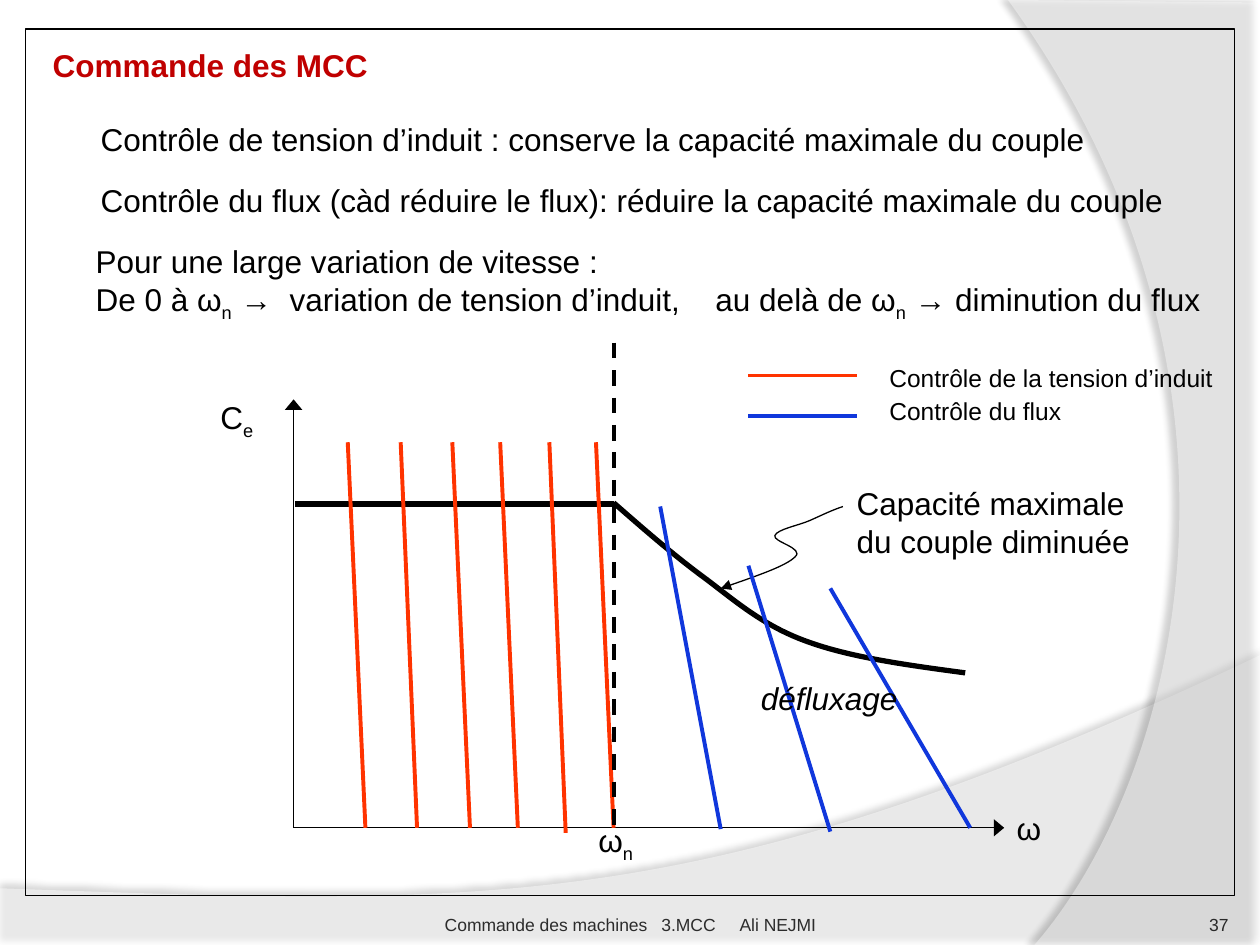
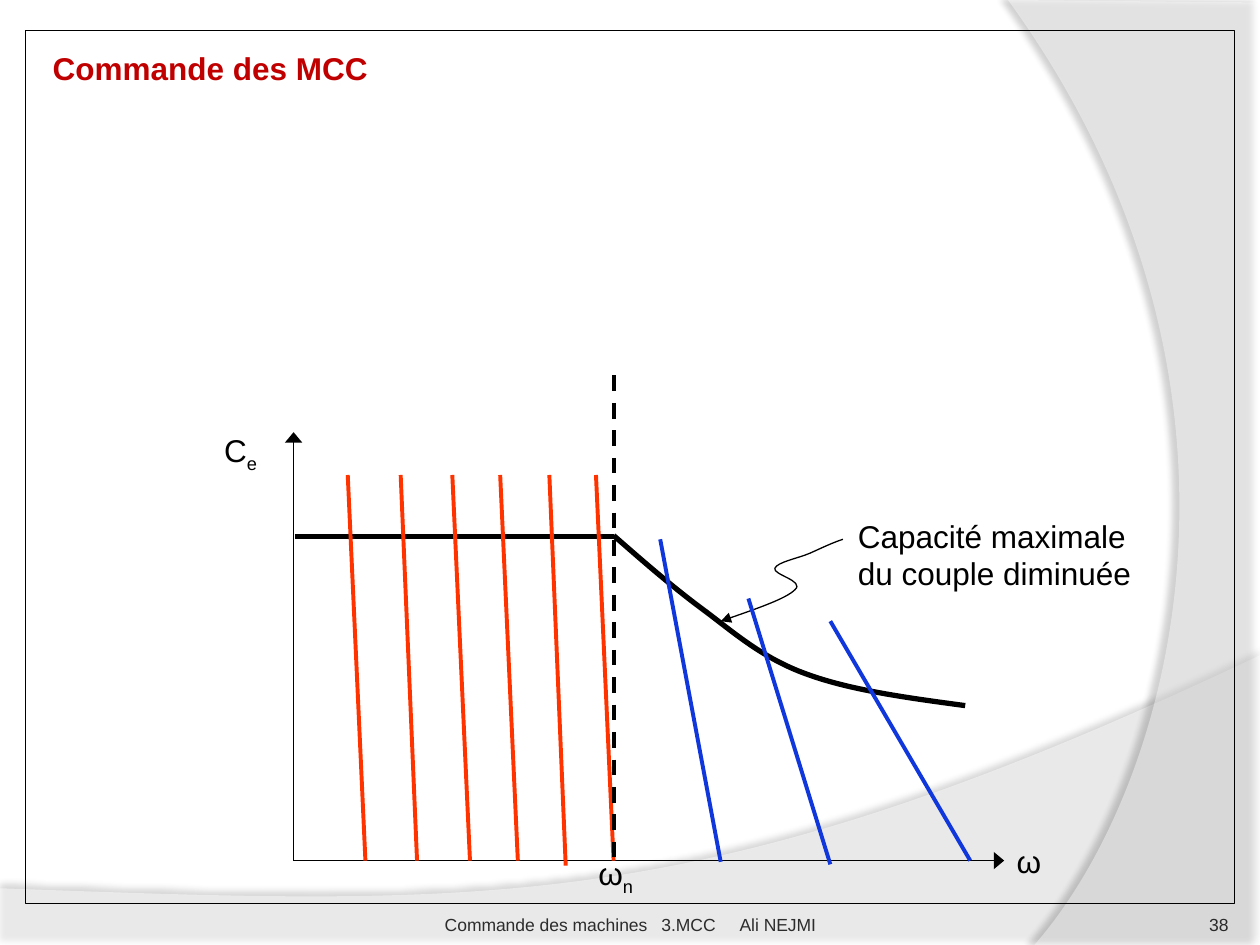
from lxml import etree
from pptx import Presentation, util as u
from pptx.dml.color import RGBColor
from pptx.enum import dml, shapes, text
from pptx.oxml.ns import qn

PX = 9144  # 100 px to the inch
FONT = "Arial"
BLACK = RGBColor(0x00, 0x00, 0x00)
WHITE = RGBColor(0xFF, 0xFF, 0xFF)
TITLE_RED = RGBColor(0xC0, 0x00, 0x00)
FOOTER_GREY = RGBColor(0x2C, 0x2C, 0x2C)
NUMBER_GREY = RGBColor(0x29, 0x29, 0x29)
VOLTAGE_RED = RGBColor(0xFF, 0x33, 0x00)
FLUX_BLUE = RGBColor(0x10, 0x37, 0xDC)
AXIS_ARROW = {"type": "triangle", "w": "lg", "len": "med"}
POINTER_ARROW = {"type": "triangle", "w": "med", "len": "med"}


def add_text(slide, content, left, top, width, height=40, *, size=18, color=BLACK,
             bold=False, italic=False, align=text.PP_ALIGN.LEFT, wrap=True,
             footer=False, inset=0, tabs=()):
    """Add a text box; the letter after an underscore becomes a subscript."""
    box = slide.shapes.add_textbox(left * PX, top * PX, width * PX, height * PX)
    frame = box.text_frame
    frame.word_wrap = wrap
    if footer:
        frame.vertical_anchor = text.MSO_ANCHOR.BOTTOM
        frame.margin_top = frame.margin_right = frame.margin_bottom = 0
        frame.margin_left = inset * PX
    for index, line in enumerate(content.split("\n")):
        paragraph = frame.add_paragraph() if index else frame.paragraphs[0]
        paragraph.alignment = align
        if tabs:
            tab_list = etree.SubElement(paragraph._p.get_or_add_pPr(), qn("a:tabLst"))
            for position in tabs:
                etree.SubElement(tab_list, qn("a:tab"), pos=str(position * PX), algn="l")
        plain, *marked = line.split("_")
        pieces = [(plain, False)]
        for part in marked:
            pieces += [(part[0], True), (part[1:], False)]
        for piece, subscript in pieces:
            if not piece:
                continue
            run = paragraph.add_run()
            run.text = piece
            run.font.name, run.font.size = FONT, u.Pt(size)
            run.font.bold, run.font.italic = bold, italic
            run.font.color.rgb = color
            if subscript:
                run._r.get_or_add_rPr().set("baseline", "-25000")


def add_outline(slide, start, segments, shift=0, close=False):
    """Draw lines (one point per segment) and Bézier curves (three points)."""
    points = [start] + [point for segment in segments for point in segment]
    corners = [(x * PX, (y + shift) * PX) for x, y in points]
    builder = slide.shapes.build_freeform(*corners[0], scale=1.0)
    builder.add_line_segments(corners[1:], close=close)
    outline = builder.convert_to_shape()

    # Merge each three-point segment into one cubic curve.
    outline_path = next(outline.element.iter(qn("a:path")))
    steps = iter(outline_path.findall(qn("a:lnTo")))
    for segment in segments:
        first, *others = [next(steps) for _ in segment]
        if others:
            first.tag = qn("a:cubicBezTo")
            for other in others:
                first.append(other[0])
                outline_path.remove(other)

    # Control points may lie further right than the curve itself.
    right = max(start[0], *(segment[-1][0] for segment in segments)) * PX
    outline.width = right - outline.left
    outline_path.set("w", str(outline.width))
    return outline


presentation = Presentation()
presentation.slide_width, presentation.slide_height = 1000 * PX, 750 * PX
layout = presentation.slide_layouts[6]
slides = [presentation.slides.add_slide(layout) for _ in range(2)]

# The two translucent bands belong to the layout, so both slides share them.
# start, segments, fill opacity, shadow opacity, shadow distance, shadow direction
bands = [
    ((0, 705), [[(0, 751)], [(1000, 751)], [(1000, 520)],
                [(559, 729), (391, 719), (0, 705)]], 45, 35, 3.5, 270),
    ((1000, 2), [[(1000, 750)], [(821, 750)],
                 [(935, 619), (1018, 300), (800, 0)]], 40, 45, 4, 180),
]
for start, segments, opacity, shadow_opacity, distance, direction in bands:
    band = add_outline(slides[0], start, segments, close=True)
    band.fill.solid()
    band.fill.fore_color.rgb = WHITE
    band.line.fill.background()
    properties = band.element.spPr
    fill_color = properties.find(qn("a:solidFill")).find(qn("a:srgbClr"))
    etree.SubElement(fill_color, qn("a:alpha"), val=str(opacity * 1000))
    effects = etree.SubElement(properties, qn("a:effectLst"))
    shadow = etree.SubElement(
        effects, qn("a:outerShdw"), blurRad=str(u.Pt(4)), dist=str(u.Pt(distance)),
        dir=str(direction * 60000), algn="ctr", rotWithShape="0")
    shadow_color = etree.SubElement(shadow, qn("a:srgbClr"), val=str(BLACK))
    etree.SubElement(shadow_color, qn("a:alpha"), val=str(shadow_opacity * 1000))
    layout.shapes.element.append(band.element)

capacity_curve = [
    [(511, 420), (535, 441), (561, 460)],
    [(586, 479), (608, 498), (643, 510)],
    [(677, 522), (721, 528), (766, 534)],
]
pointer_curve = [
    [(660, 405), (652, 409), (643, 413)],
    [(634, 417), (617, 420), (615, 425)],
    [(613, 430), (639, 435), (631, 442)],
    [(624, 449), (598, 458), (572, 467)],
]
flux_lines = [((524, 402), (572, 658)), ((594, 449), (659, 660)), ((659, 467), (770, 657))]
voltage_lines = [((276, 351), (290, 657)), ((359, 351), (373, 657)), ((397, 351), (411, 657)),
                 ((473, 351), (487, 657)), ((318, 351), (331, 657)), ((436, 351), (449, 661))]

# slide, number, frame top, frame height, title top, graph shift, torque label left and width
pages = [
    (slides[0], 37, 23, 688, 32, 0, 165, 67),
    (slides[1], 38, 24, 693, 34, 26, 168, 64),
]
for slide, number, frame_top, frame_height, title_top, shift, torque_left, torque_width in pages:
    add_text(slide, "Commande des machines\t3.MCC\tAli NEJMI", 342, 702, 317, size=10,
             color=FOOTER_GREY, footer=True, inset=11, tabs=(172, 234))
    add_text(slide, str(number), 892, 702, 83, size=10, color=NUMBER_GREY,
             align=text.PP_ALIGN.RIGHT, footer=True)
    border = slide.shapes.add_shape(shapes.MSO_SHAPE.RECTANGLE, 20 * PX, frame_top * PX,
                                    960 * PX, frame_height * PX)
    border.shadow.inherit = False
    border.fill.background()
    border.line.color.rgb, border.line.width = BLACK, u.Pt(0.75)
    add_text(slide, "Commande des MCC", 32, title_top, 468, color=TITLE_RED, bold=True)

    # start, segments, colour, width, arrow at the end, dashed
    strokes = [
        ((233, 657), [[(233, 317)]], BLACK, 0.75, AXIS_ARROW, False),
        ((233, 657), [[(797, 657)]], BLACK, 0.75, AXIS_ARROW, False),
        ((234, 400), [[(487, 400)]], BLACK, 3, None, False),
        ((487, 399), capacity_curve, BLACK, 3, None, False),
        ((669, 402), pointer_curve, BLACK, 0.75, POINTER_ARROW, False),
    ]
    for color, lines in ((FLUX_BLUE, flux_lines), (VOLTAGE_RED, voltage_lines)):
        strokes += [(top, [[foot]], color, 2.25, None, False) for top, foot in lines]
    strokes.append(((487, 272), [[(487, 657)]], BLACK, 2.25, None, True))
    if slide is slides[0]:
        strokes += [((594, y), [[(680, y)]], color, 2.25, None, False)
                    for y, color in ((298, VOLTAGE_RED), (330, FLUX_BLUE))]

    for start, segments, color, width, arrow, dashed in strokes:
        if len(segments) == 1:
            (x1, y1), (x2, y2) = start, segments[0][0]
            stroke = slide.shapes.add_connector(
                shapes.MSO_CONNECTOR.STRAIGHT, x1 * PX, (y1 + shift) * PX,
                x2 * PX, (y2 + shift) * PX)
        else:
            stroke = add_outline(slide, start, segments, shift)
            stroke.fill.background()
        stroke.line.color.rgb, stroke.line.width = color, u.Pt(width)
        if dashed:
            stroke.line.dash_style = dml.MSO_LINE.DASH
        properties = stroke.element.spPr
        if arrow:
            etree.SubElement(properties.find(qn("a:ln")), qn("a:tailEnd"), arrow)
        etree.SubElement(properties, qn("a:effectLst"))

    add_text(slide, "C_e", torque_left, 311 + shift, torque_width)
    add_text(slide, "ω", 797, 637 + shift, 45)
    add_text(slide, "ω_n", 465, 647 + shift, 88)
    add_text(slide, "Capacité maximale\ndu couple diminuée", 670 + (shift > 0), 379 + shift,
             242, 71, wrap=False)

overview = slides[0]
add_text(overview, "Contrôle de tension d’induit : conserve la capacité maximale du couple",
         70, 90, 870)
add_text(overview, "Contrôle du flux (càd réduire le flux): réduire la capacité maximale du couple",
         70, 139, 870)
add_text(overview, "Pour une large variation de vitesse :\n"
         "De 0 à ω_n →\tvariation de tension d’induit,\tau delà de ω_n → diminution du flux",
         66, 187, 908, 71, tabs=(154, 492))
add_text(overview, "Contrôle de la tension d’induit", 696, 283, 278, 34, size=14, wrap=False)
add_text(overview, "Contrôle du flux", 696, 309, 162, 34, size=14, wrap=False)
add_text(overview, "défluxage", 594, 534, 130, italic=True, wrap=False)

presentation.save("out.pptx")
